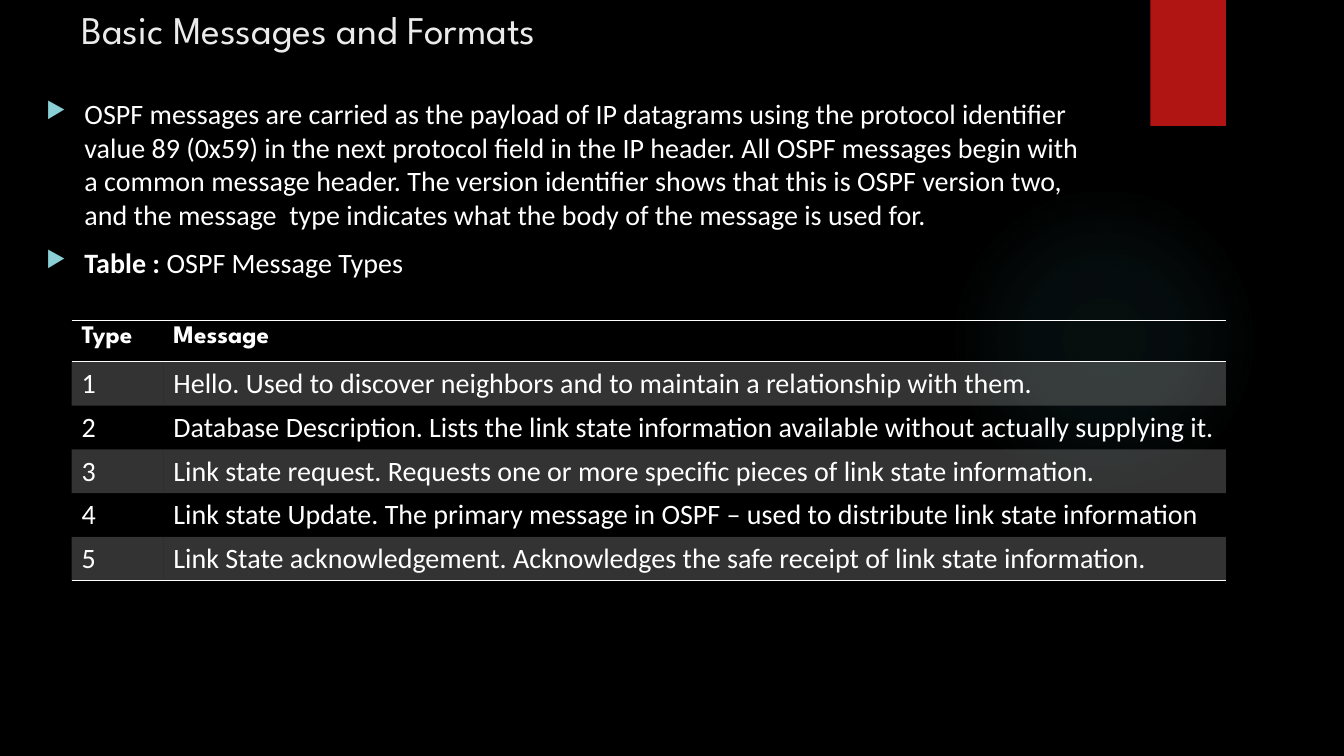
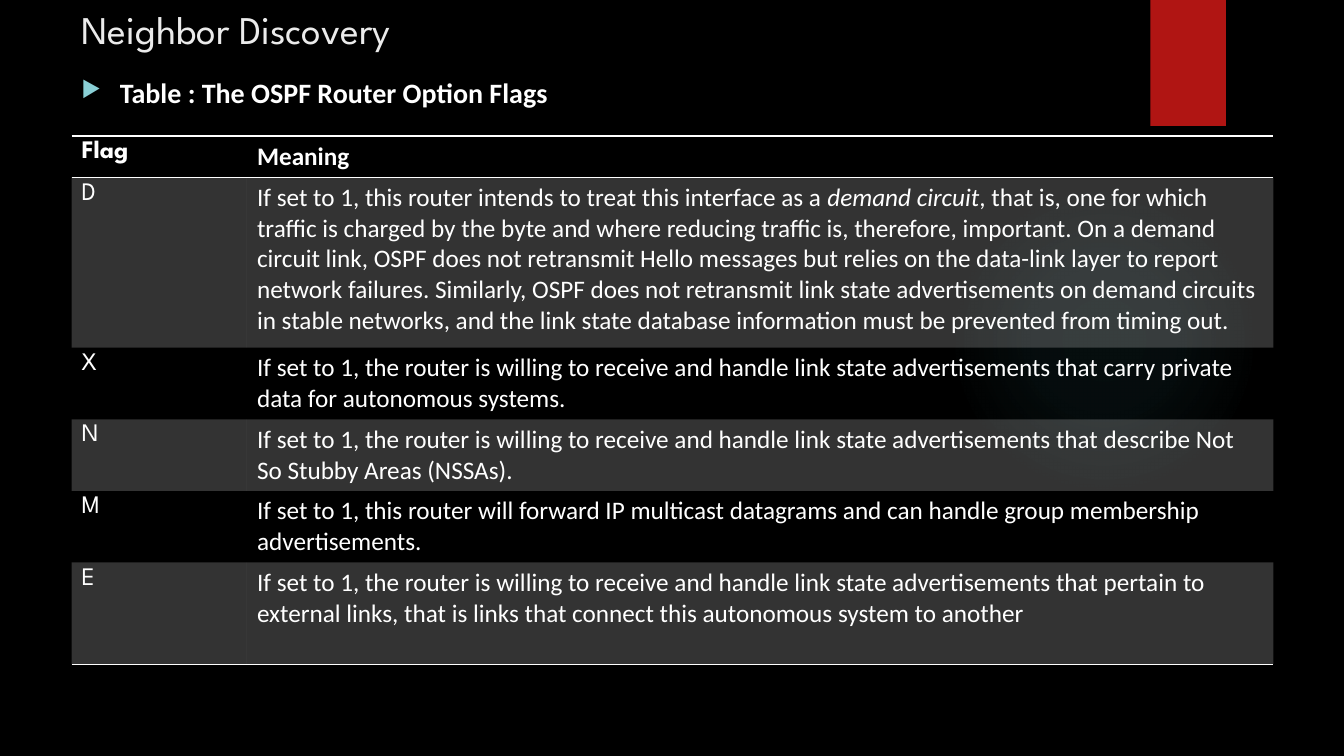
import pptx
import pptx.dml.color
import pptx.enum.shapes
import pptx.oxml
import pptx.oxml.ns
import pptx.util
from lxml import etree

Inches = pptx.util.Inches
SHAPE = pptx.enum.shapes.MSO_SHAPE
qn = pptx.oxml.ns.qn
NS = pptx.oxml.ns.nsdecls("a")

BLACK, WHITE, RED = "000000", "FFFFFF", "B01513"
PALE, TEAL, GLOW = "EBEBEB", "8AD0D6", "50B9C1"
HEAD, BODY = "League Spartan", "Calibri"
LEFT = 0.71
PLAIN_TABLE = "{2D5ABB26-0587-4C30-8999-92F81FD0307C}"


def paint(target, color):
    """Give a font, or a fill already made solid, a hex colour."""
    holder = target.color if hasattr(target, "color") else target.fore_color
    holder.rgb = pptx.dml.color.RGBColor.from_string(color)


def add_run(para, text, font, size, color=WHITE, bold=False, italic=False):
    run = para.add_run()
    run.text = text
    run.font.name = font
    run.font.size = pptx.util.Pt(size)
    run.font.bold, run.font.italic = bold, italic
    paint(run.font, color)


def add_box(slide, box):
    frame = slide.shapes.add_textbox(*map(Inches, box)).text_frame
    frame.word_wrap = True
    return frame


def add_shape(slide, kind, box, color):
    shape = slide.shapes.add_shape(kind, *map(Inches, box))
    shape.shadow.inherit = False
    shape.line.fill.background()
    shape.fill.solid()
    paint(shape.fill, color)
    return shape


def add_glow(slide, box):
    """Draw a disc that fades from its centre."""
    disc = add_shape(slide, SHAPE.OVAL, box, GLOW)
    stops = "".join(
        f'<a:gs pos="{pos}000"><a:srgbClr val="{GLOW}">'
        f'<a:alpha val="{alpha}000"/></a:srgbClr></a:gs>'
        for pos, alpha in ((0, 7), (36, 6), (69, 0)))
    grad = pptx.oxml.parse_xml(
        f'<a:gradFill {NS}><a:gsLst>{stops}</a:gsLst><a:path path="circle">'
        '<a:fillToRect l="50000" t="50000" r="50000" b="50000"/>'
        '</a:path></a:gradFill>')
    props = disc.element.spPr
    props.replace(props.find(qn("a:solidFill")), grad)


def add_frame(deck, title):
    """Start a slide with the shared decoration and title."""
    slide = deck.slides.add_slide(deck.slide_layouts[6])
    add_glow(slide, (9.41, 1.83, 3.08, 3.08))
    add_shape(slide, SHAPE.RECTANGLE, (11.41, 0, 0.75, 1.25), RED)
    frame = add_box(slide, (LEFT, 0, 10.29, 0.7))
    add_run(frame.paragraphs[0], title, HEAD, 28, PALE)
    return slide


def add_list(slide, box, items):
    """Place bulleted items, each a list of (text, bold) runs."""
    frame = add_box(slide, box)
    for i, item in enumerate(items):
        para = frame.add_paragraph() if i else frame.paragraphs[0]
        if i:
            para.space_before = pptx.util.Pt(10)
        props = para._p.get_or_add_pPr()
        props.set("marL", str(Inches(0.38)))
        props.set("indent", str(-Inches(0.38)))
        for mark in (f'<a:buClr {NS}><a:srgbClr val="{TEAL}"/></a:buClr>',
                     f'<a:buSzPct {NS} val="80000"/>',
                     f'<a:buChar {NS} char="▶"/>'):
            props.append(pptx.oxml.parse_xml(mark))
        for text, bold in item:
            add_run(para, text, BODY, 20, bold=bold)


def style_cell(cell, shaded, edges):
    """Shade a cell lightly and rule its named edges in white."""
    props = cell._tc.get_or_add_tcPr()
    if shaded:
        cell.fill.solid()
        paint(cell.fill, WHITE)
        tint = props.find(qn("a:solidFill")).find(qn("a:srgbClr"))
        etree.SubElement(tint, qn("a:alpha")).set("val", "20000")
    else:
        cell.fill.background()
    for i, edge in enumerate(edges):
        props.insert(i, pptx.oxml.parse_xml(
            f'<a:ln{edge} {NS} w="12700"><a:solidFill>'
            f'<a:srgbClr val="{WHITE}"/></a:solidFill></a:ln{edge}>'))


def add_table(slide, top, cols, heights, rows, heads, fonts, size):
    """Place a ruled table; a cell is a text or a list of (text, italic)."""
    shape = slide.shapes.add_table(
        len(rows), len(cols), Inches(LEFT), Inches(top),
        Inches(sum(cols)), Inches(sum(heights)))
    table = shape.table
    table.first_row = table.horz_banding = False
    table._tbl.tblPr.find(qn("a:tableStyleId")).text = PLAIN_TABLE
    for col, width in zip(table.columns, cols):
        col.width = Inches(width)
    last = len(rows) - 1
    for r, (row, height) in enumerate(zip(rows, heights)):
        table.rows[r].height = Inches(height)
        edges = "TB" if r == 0 else "B" if r == last else ""
        for c, parts in enumerate(row):
            cell = table.cell(r, c)
            style_cell(cell, r % 2 == 1, edges)
            para = cell.text_frame.paragraphs[0]
            if isinstance(parts, str):
                parts = [(parts, False)]
            for text, italic in parts:
                add_run(para, text, fonts[c] if r else heads[c],
                        size if r else 18, bold=r == 0, italic=italic)


def add_types(deck):
    slide = add_frame(deck, "Basic Messages and Formats")
    add_list(slide, (0.36, 0.91, 10.63, 2), [
        [("OSPF messages are carried as the payload of IP datagrams using the "
          "protocol identifier value 89 (0x59) in the next protocol field in "
          "the IP header. All OSPF messages begin with a common message "
          "header. The version identifier shows that this is OSPF version "
          "two, and the message  type indicates what the body of the message "
          "is used for.", False)],
        [("Table : ", True), ("OSPF Message Types", False)]])
    rows = [
        ("Type", "Message"),
        ("1", "Hello. Used to discover neighbors and to maintain a "
              "relationship with them."),
        ("2", "Database Description. Lists the link state information "
              "available without actually supplying it."),
        ("3", "Link state request. Requests one or more specific pieces of "
              "link state information."),
        ("4", "Link state Update. The primary message in OSPF – used to "
              "distribute link state information"),
        ("5", "Link State acknowledgement. Acknowledges the safe receipt of "
              "link state information.")]
    add_table(slide, 3.18, (0.91, 10.54), [0.41] * len(rows), rows,
              (HEAD, HEAD), (BODY, BODY), 20)


def add_flags(deck):
    slide = add_frame(deck, "Neighbor Discovery")
    add_list(slide, (LEFT, 0.7, 10.29, 0.5),
             [[("Table : The OSPF Router Option Flags", True)]])
    rows = [
        ("Flag", "Meaning"),
        ("D", [
            ("If set to 1, this router intends to treat this interface as a ",
             False),
            ("demand circuit", True),
            (", that is, one for which traffic is charged by the byte and "
             "where reducing traffic is, therefore, important. On a demand "
             "circuit link, OSPF does not retransmit Hello messages but "
             "relies on the data-link layer to report network failures. "
             "Similarly, OSPF does not retransmit link state advertisements "
             "on demand circuits in stable networks, and the link state "
             "database information must be prevented from timing out.",
             False)]),
        ("X", "If set to 1, the router is willing to receive and handle link "
              "state advertisements that carry private data for autonomous "
              "systems."),
        ("N", "If set to 1, the router is willing to receive and handle link "
              "state advertisements that describe Not So Stubby Areas "
              "(NSSAs)."),
        ("M", "If set to 1, this router will forward IP multicast datagrams "
              "and can handle group membership advertisements."),
        ("E", "If set to 1, the router is willing to receive and handle link "
              "state advertisements that pertain to external links, that is "
              "links that connect this autonomous system to another")]
    add_table(slide, 1.35, (1.74, 10.18), (0.41, 1.69, 0.71, 0.71, 0.71, 1.01),
              rows, (HEAD, BODY), (HEAD, BODY), 18)


def main():
    deck = pptx.Presentation()
    deck.slide_width, deck.slide_height = Inches(13.33), Inches(7.5)
    back = deck.slide_master.background.fill
    back.solid()
    paint(back, BLACK)
    add_types(deck)
    add_flags(deck)
    deck.save("out.pptx")


if __name__ == "__main__":
    main()
